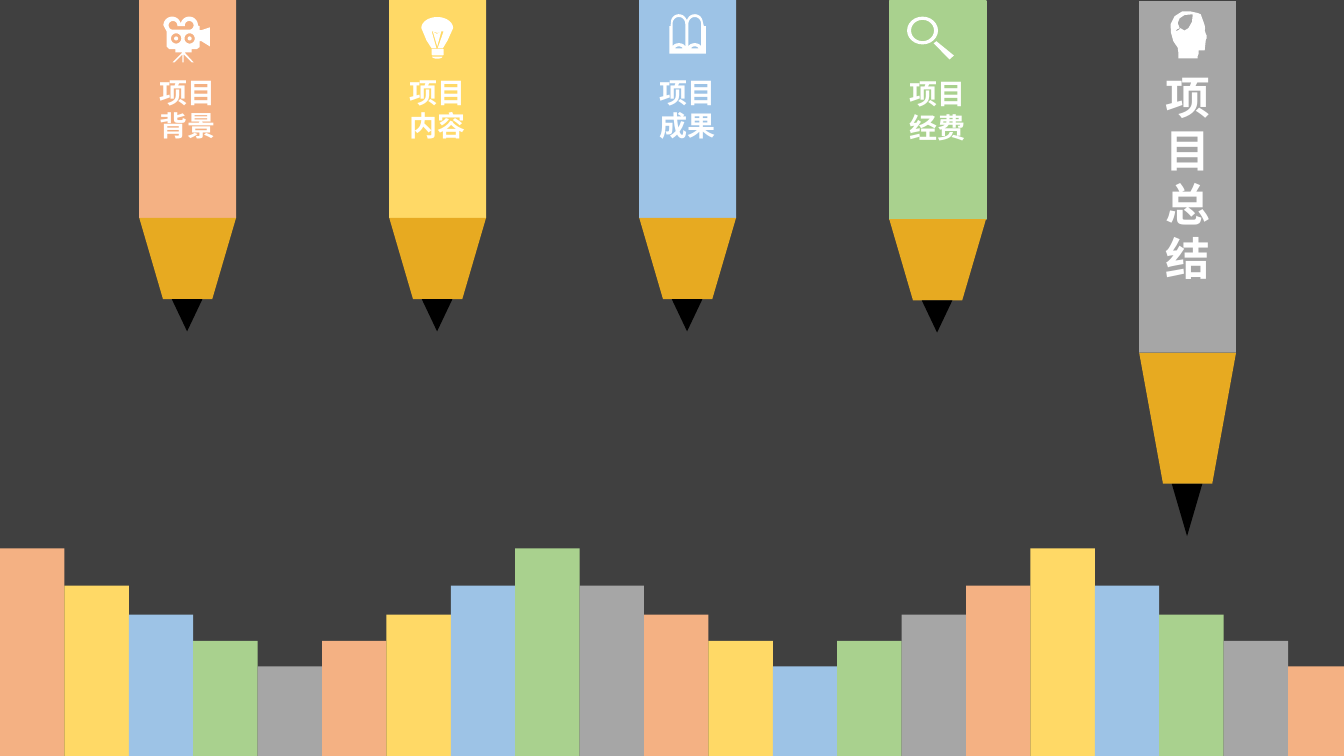
from math import cos, radians, sin

from pptx import Presentation
from pptx.dml.color import RGBColor
from pptx.enum.shapes import MSO_SHAPE as Preset
from pptx.enum.text import MSO_ANCHOR as Anchor, PP_ALIGN as Align
from pptx.util import Cm, Pt

PAGE_WIDTH, PAGE_HEIGHT = 33.87, 19.05
PALETTE = ["F4B183", "FFD966", "9DC3E6", "A9D18E", "A6A6A6"]
BAR_TOPS = [13.82, 14.76, 15.49, 16.15, 16.79]
BAR_COUNT = 21
BAR_STEP = 32.46 / 20
PENCIL_LEFT, PENCIL_STEP, PENCIL_WIDTH = 3.51, 6.3, 2.44


def color(code):
    return RGBColor.from_string(code)


def arc(x, y, radius_x, radius_y, start=0, end=360, steps=24):
    angles = [radians(start + (end - start) * i / steps) for i in range(steps + 1)]
    return [(x + radius_x * cos(a), y + radius_y * sin(a)) for a in angles]


def circle(x, y, radius):
    return arc(x, y, radius, radius)


def camera():
    tripod = [(0.91, 1.24), (1.32, 1.24), (1.32, 1.32), (1.14, 1.32), (1.37, 1.57),
              (1.32, 1.57), (1.12, 1.37), (1.12, 1.57), (1.09, 1.57), (1.09, 1.37),
              (0.89, 1.57), (0.84, 1.57), (1.09, 1.32), (0.91, 1.32)]
    body = arc(0.83, 0.64, 0.22, 0.22, -180, 0) + arc(1.26, 0.64, 0.22, 0.22, -180, 0) + [
        (1.52, 0.66), (1.52, 0.76), (1.57, 0.76), (1.78, 0.69), (1.78, 1.17),
        (1.57, 1.04), (1.52, 1.04), (1.52, 1.19), (1.45, 1.24), (0.76, 1.24),
        (0.69, 1.17), (0.69, 0.79)]
    reels = arc(0.85, 0.64, 0.11, 0.11, 10, -270) + arc(1.26, 0.64, 0.11, 0.11, 90, -190)
    lenses = [circle(x, 0.97, radius) for x in (0.93, 1.27) for radius in (0.05, 0.13)]
    return [tripod, body, reels, *lenses]


def bulb():
    glass = arc(1.21, 0.71, 0.4, 0.28, -180, 0) + [
        (1.47, 1.02), (1.35, 1.22), (1.07, 1.22), (0.94, 1.02)]
    filament = [(1.07, 0.79), (1.19, 1.22), (1.22, 1.22), (1.37, 0.79),
                (1.32, 0.79), (1.21, 0.83), (1.09, 0.79)]
    gap = [(1.1, 0.8), (1.2, 0.85), (1.31, 0.8), (1.21, 1.17)]
    base = [(1.07, 1.24), (1.37, 1.24), (1.37, 1.38), (1.35, 1.4), (1.09, 1.4), (1.07, 1.38)]
    return [glass, filament, gap, base, arc(1.21, 1.43, 0.13, 0.05, 0, 180)]


def book():
    cover = [(0.76, 1.35), (0.76, 0.66), (0.79, 0.66)]
    cover += arc(1.0, 0.56, 0.2, 0.2, -170, -20) + arc(1.4, 0.56, 0.2, 0.2, -160, -10)
    cover += [(1.63, 0.66), (1.68, 0.66), (1.68, 1.35)]
    outlines = [cover]
    for x in (1.0, 1.4):
        outlines.append(arc(x, 0.6, 0.16, 0.17, -180, 0) + arc(x, 1.19, 0.16, 0.1, 0, -180))
        outlines.append(arc(x, 1.22, 0.09, 0.05, -180, 0))
    return outlines


def magnifier():
    handle = [(1.19, 1.04), (1.63, 1.4), (1.52, 1.5), (1.12, 1.09)]
    return [arc(0.84, 0.77, 0.39, 0.35), arc(0.84, 0.77, 0.29, 0.27), handle]


def head():
    profile = [(1.7, 0.97), (1.7, 0.89), (1.68, 0.86), (1.65, 0.76), (1.66, 0.71),
               (1.65, 0.64), (1.63, 0.58), (1.55, 0.36), (1.48, 0.33), (1.3, 0.29),
               (1.08, 0.29), (0.89, 0.41), (0.79, 0.61), (0.8, 0.82), (0.86, 1.04),
               (0.97, 1.2), (0.99, 1.35), (0.99, 1.47), (1.47, 1.47), (1.47, 1.42),
               (1.5, 1.35), (1.5, 1.27), (1.65, 1.27), (1.66, 1.17), (1.68, 0.99)]
    leaf = [(1.24, 0.71), (1.14, 0.77), (1.04, 0.71), (0.99, 0.76), (0.91, 0.79),
            (0.95, 0.74), (1.02, 0.71), (0.97, 0.58), (1.02, 0.46), (1.14, 0.38),
            (1.35, 0.36), (1.33, 0.55)]
    return [profile, leaf]


class Board:
    font = "Noto Sans CJK JP"
    wood, lead, white = "E7AA21", "000000", "FFFFFF"

    def __init__(self, page):
        self.page = page
        page.background.fill.solid()
        page.background.fill.fore_color.rgb = color("404040")

    def paint(self, shape, fill):
        shape.shadow.inherit = False
        shape.fill.solid()
        shape.fill.fore_color.rgb = color(fill)
        shape.line.fill.background()
        return shape

    def preset(self, kind, left, top, width, height, fill):
        box = Cm(left), Cm(top), Cm(width), Cm(height)
        return self.paint(self.page.shapes.add_shape(kind, *box), fill)

    def outline(self, contours, left, top, fill):
        placed = [[(Cm(left + x), Cm(top + y)) for x, y in contour] for contour in contours]
        builder = self.page.shapes.build_freeform(*placed[0][0])
        for index, contour in enumerate(placed):
            if index:
                builder.move_to(*contour[0])
            builder.add_line_segments(contour[1:], close=True)
        return self.paint(builder.convert_to_shape(), fill)

    def label(self, shape, lines, size):
        frame = shape.text_frame
        frame.word_wrap = True
        frame.vertical_anchor = Anchor.MIDDLE
        for index, line in enumerate(lines):
            para = frame.add_paragraph() if index else frame.paragraphs[0]
            para.alignment = Align.CENTER
            span = para.add_run()
            span.text = line
            span.font.size = Pt(size)
            span.font.bold = True
            span.font.name = self.font
            span.font.color.rgb = color(self.white)

    def pencil(self, left, top, lengths, fill, lines, size):
        barrel, cone, tip = lengths
        body = self.preset(Preset.RECTANGLE, left, top, PENCIL_WIDTH, barrel, fill)
        self.label(body, lines, size)
        taper = [(0, 0), (PENCIL_WIDTH, 0), (PENCIL_WIDTH - 0.6, cone), (0.6, cone)]
        self.outline([taper], left, top + barrel, self.wood)
        point = self.preset(Preset.ISOSCELES_TRIANGLE, left + 0.82, top + barrel + cone,
                            0.77, tip, self.lead)
        point.rotation = 180
        return body

    def icon(self, contours, left):
        self.outline(contours, left, 0, self.white)

    def bar(self, index):
        left = index * BAR_STEP
        top = BAR_TOPS[4 - abs(4 - index % 8)]
        self.preset(Preset.RECTANGLE, left, top, min(BAR_STEP, PAGE_WIDTH - left),
                    PAGE_HEIGHT - top, PALETTE[index % len(PALETTE)])


def main():
    deck = Presentation()
    deck.slide_width, deck.slide_height = Cm(PAGE_WIDTH), Cm(PAGE_HEIGHT)
    board = Board(deck.slides.add_slide(deck.slide_layouts[6]))
    short, long = (5.49, 2.05, 0.81), (8.86, 3.3, 1.32)
    pencils = [
        ("背景", camera(), 0, short, 20),
        ("内容", bulb(), 0, short, 20),
        ("成果", book(), 0, short, 20),
        ("经费", magnifier(), 0.03, short, 20),
        ("总结", head(), 0.03, long, 32),
    ]
    for index, (topic, contours, top, lengths, size) in enumerate(pencils):
        left = PENCIL_LEFT + index * PENCIL_STEP
        body = board.pencil(left, top, lengths, PALETTE[index], ["项目", topic], size)
        if topic == "经费":
            body.line.color.rgb = color(PALETTE[index])
            body.line.width = Pt(1)
        board.icon(contours, left)
    for index in range(BAR_COUNT):
        board.bar(index)
    deck.save("out.pptx")


if __name__ == "__main__":
    main()
